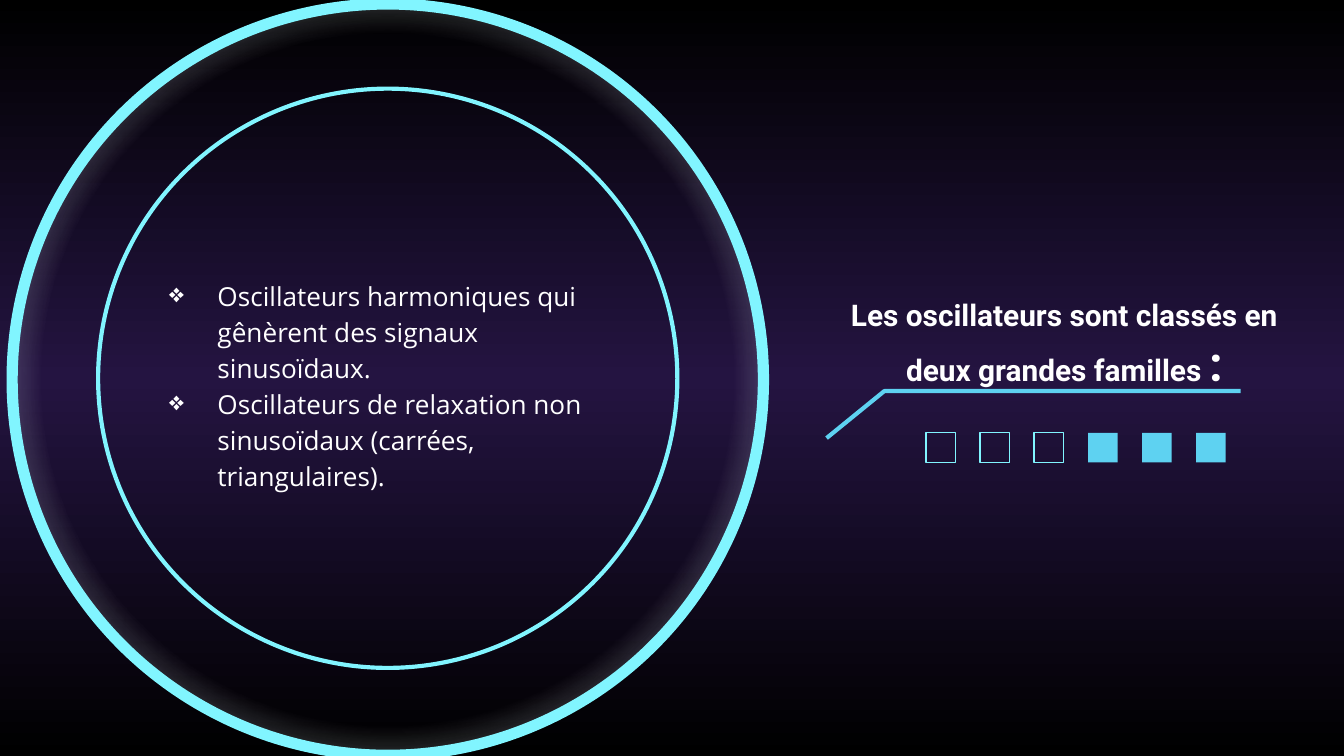
from lxml import etree
from pptx import Presentation
from pptx import util as u
from pptx.dml.color import RGBColor
from pptx.enum import shapes, text
from pptx.oxml import parse_xml
from pptx.oxml.ns import nsdecls, qn

COLUMNS, ROWS = 100, 56.25  # square grid cells on a 10 inch wide page
CELL = u.Inches(10) // COLUMNS

WHITE, BLACK, VIOLET = "FFFFFF", "000000", "241441"
CYAN, SKY = "81F5FF", "5ED2F1"


def color(value):
    return RGBColor.from_string(value)


def cells(count):
    return u.Emu(round(count * CELL))


class Stage:
    """Holds the style and the slide being drawn."""

    heading_font = "Roboto"
    body_font = "Open Sans"

    def __init__(self, slide):
        self.slide = slide

    def gradient(self, fill, owner, stops, direction):
        """Swap a plain fill for a gradient; stops are (percent, colour, alpha)."""
        fill.solid()
        marks = "".join(
            f'<a:gs pos="{at * 1000}"><a:srgbClr val="{tint}">'
            f'<a:alpha val="{alpha * 1000}"/></a:srgbClr></a:gs>'
            for at, tint, alpha in stops)
        plain = owner.xpath(".//a:solidFill")[0]
        plain.getparent().replace(plain, parse_xml(
            f'<a:gradFill {nsdecls("a")} rotWithShape="1">'
            f"<a:gsLst>{marks}</a:gsLst>{direction}</a:gradFill>"))

    def backdrop(self, stops):
        self.gradient(self.slide.background.fill, self.slide.element, stops,
                      '<a:lin ang="5400000" scaled="0"/>')

    def paint(self, shape, fill=None, line=None, weight=0):
        shape.shadow.inherit = False
        if fill:
            shape.fill.solid()
            shape.fill.fore_color.rgb = color(fill)
        else:
            shape.fill.background()
        if line:
            shape.line.color.rgb = color(line)
            shape.line.width = u.Pt(weight)
        else:
            shape.line.fill.background()

    def ring(self, left, top, size, weight, glow=None):
        ring = self.slide.shapes.add_shape(
            shapes.MSO_SHAPE.OVAL, *map(cells, (left, top, size, size)))
        self.paint(ring, line=CYAN, weight=weight)
        if glow:
            # Fill first, so the only plain fill replaced is the shape's own
            self.gradient(
                ring.fill, ring.element, glow,
                '<a:path path="circle"><a:fillToRect l="50000" t="50000" '
                'r="50000" b="50000"/></a:path>')

    def squares(self, left, top, size, pitch, hollow, solid):
        group = self.slide.shapes.add_group_shape()
        for index in range(hollow + solid):
            square = group.shapes.add_shape(
                shapes.MSO_SHAPE.RECTANGLE,
                *map(cells, (left + index * pitch, top, size, size)))
            if index < hollow:
                self.paint(square, line=CYAN, weight=0.75)
            else:
                self.paint(square, fill=SKY)

    def polyline(self, points, weight):
        start, *rest = [(cells(x), cells(y)) for x, y in points]
        builder = self.slide.shapes.build_freeform(*start)
        builder.add_line_segments(rest, close=False)
        self.paint(builder.convert_to_shape(), line=SKY, weight=weight)

    def frame(self, left, top, width, height, anchor):
        box = self.slide.shapes.add_textbox(
            *map(cells, (left, top, width, height)))
        frame = box.text_frame
        frame.word_wrap = True
        frame.vertical_anchor = anchor
        frame.margin_left = frame.margin_right = cells(1)
        frame.margin_top = frame.margin_bottom = cells(1)
        return frame

    def span(self, para, words, font, size, bold=False):
        span = para.add_run()
        span.text = words
        span.font.name = font
        span.font.size = u.Pt(size)
        span.font.bold = bold
        span.font.color.rgb = color(WHITE)

    def heading(self, place, spans):
        frame = self.frame(*place, text.MSO_ANCHOR.MIDDLE)
        para = frame.paragraphs[0]
        para.alignment = text.PP_ALIGN.CENTER
        for words, size in spans:
            self.span(para, words, self.heading_font, size, bold=True)

    def bullets(self, place, items, size):
        frame = self.frame(*place, text.MSO_ANCHOR.TOP)
        for index, words in enumerate(items):
            para = frame.add_paragraph() if index else frame.paragraphs[0]
            para.line_spacing = 1.15
            props = para._p.get_or_add_pPr()
            props.set("marL", str(cells(5)))
            props.set("indent", str(-cells(3.6)))
            tint = etree.SubElement(props, qn("a:buClr"))
            etree.SubElement(tint, qn("a:srgbClr"), val=WHITE)
            etree.SubElement(props, qn("a:buChar"), char="❖")
            self.span(para, words, self.body_font, size)


def main():
    deck = Presentation()
    deck.slide_width, deck.slide_height = cells(COLUMNS), cells(ROWS)
    stage = Stage(deck.slides.add_slide(deck.slide_layouts[6]))

    # Background and the two rings
    stage.backdrop([(0, BLACK, 100), (50, VIOLET, 100), (100, BLACK, 100)])
    stage.ring(0.9, 0.3, 55.9, 6,
               glow=[(0, WHITE, 0), (65, WHITE, 0), (100, SKY, 100)])
    stage.ring(7.3, 6.6, 43.1, 2.25)

    # Heading on the right, families inside the rings
    stage.heading((61.9, 22, 34.6, 7.2), [
        ("Les oscillateurs sont classés en deux grandes familles ", 16),
        (":", 26)])
    stage.bullets((10.2, 19.5, 38.3, 16.5), [
        "Oscillateurs harmoniques qui gênèrent des signaux sinusoïdaux.",
        "Oscillateurs de relaxation non sinusoïdaux (carrées, triangulaires).",
    ], 14)

    # Underline and row of squares
    stage.polyline([(61.5, 32.6), (65.8, 29.1), (92.3, 29.1)], 2.25)
    stage.squares(68.9, 32.2, 2.2, 4.02, hollow=3, solid=3)

    deck.save("out.pptx")


if __name__ == "__main__":
    main()
